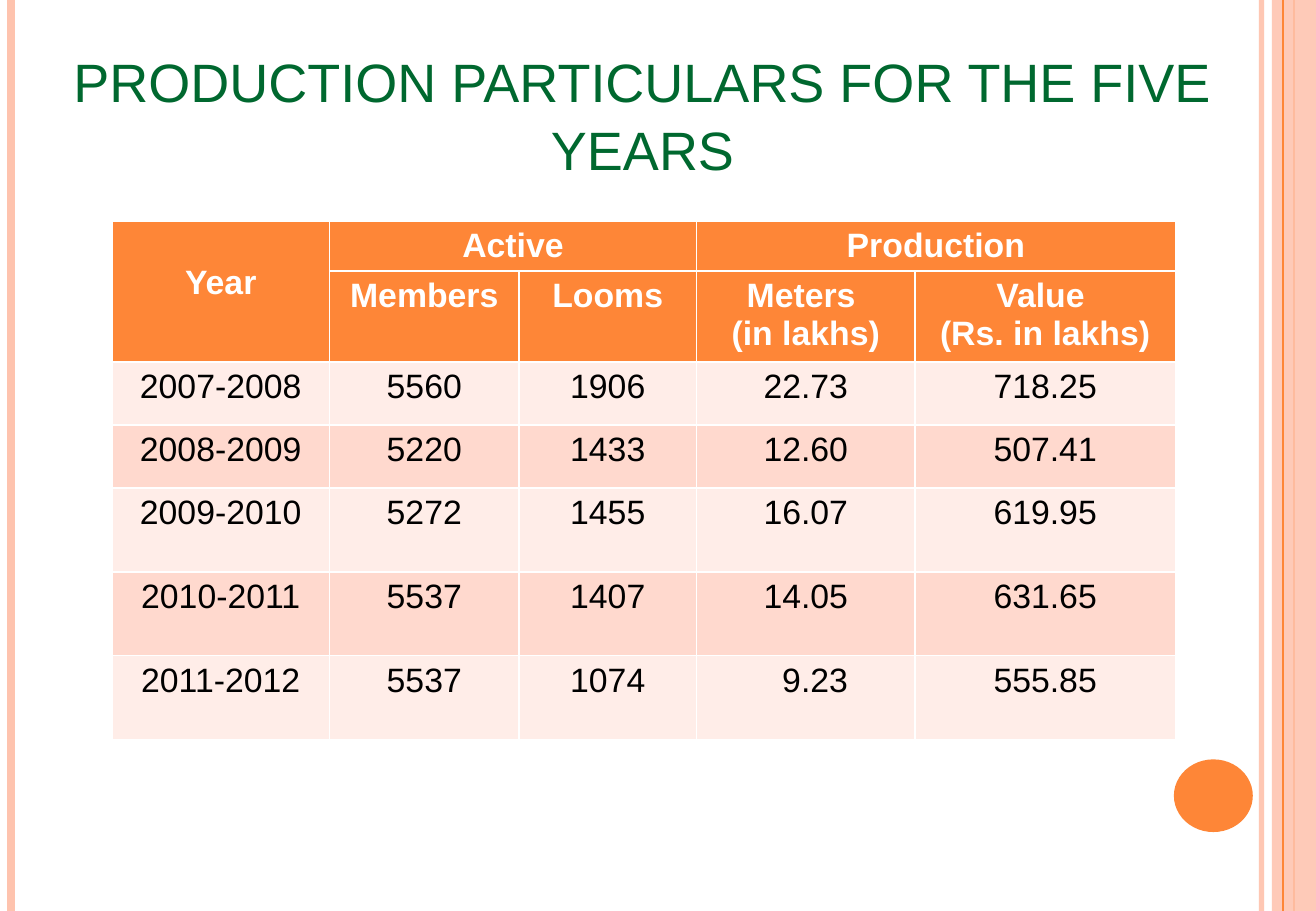
from dataclasses import dataclass

from lxml.etree import SubElement
from pptx import Presentation
from pptx.dml.color import RGBColor
from pptx.enum.shapes import MSO_CONNECTOR, MSO_SHAPE
from pptx.enum.text import MSO_ANCHOR, PP_ALIGN
from pptx.oxml.ns import qn
from pptx.slide import Slide
from pptx.table import Table, _Cell
from pptx.text.text import _Paragraph
from pptx.util import Cm, Pt

ORANGE = "FE8637"
PEACH = "FEC3AE"
WHITE = "FFFFFF"
BLACK = "000000"
GREEN = "00682F"
BANDS = ("FFEDE8", "FFD9CE")
PAGE_WIDTH = 27.51
PAGE_HEIGHT = 19.05
COLUMN_WIDTHS = (4.55, 3.96, 3.71, 4.57, 5.44)
ROW_HEIGHTS = (1.0, 1.9, 1.32, 1.32, 1.75, 1.75, 1.75)


@dataclass(frozen=True)
class Stripe:
    x: float
    color: str
    weight: float
    opacity: int = 100


@dataclass(frozen=True)
class Block:
    preset: MSO_SHAPE
    left: float
    top: float
    width: float
    height: float
    color: str
    opacity: int = 100


@dataclass(frozen=True)
class Heading:
    row: int
    column: int
    lines: tuple[str, ...]
    row_span: int = 1
    column_span: int = 1
    margin_top: float = 0.13


@dataclass(frozen=True)
class YearRecord:
    year: str
    members: str
    looms: str
    meters: str
    value: str


DECORATIONS = (
    Stripe(26.37, PEACH, 3, 93),
    Stripe(0.23, PEACH, 4.5),
    Stripe(27.05, ORANGE, 1.5),
    Block(MSO_SHAPE.RECTANGLE, 26.59, 0, 0.92, PAGE_HEIGHT, PEACH, 87),
    Stripe(26.82, ORANGE, 0.75),
    Block(MSO_SHAPE.OVAL, 24.54, 15.88, 1.65, 1.52, ORANGE),
)
HEADINGS = (
    Heading(0, 0, ("Year",), row_span=2, margin_top=0.89),
    Heading(0, 1, ("Active",), column_span=2),
    Heading(0, 3, ("Production",), column_span=2),
    Heading(1, 1, ("Members",)),
    Heading(1, 2, ("Looms",)),
    Heading(1, 3, ("Meters ", "(in lakhs)")),
    Heading(1, 4, ("Value ", "(Rs. in lakhs)")),
)
RECORDS = (
    YearRecord("2007-2008", "5560", "1906", "22.73", "718.25"),
    YearRecord("2008-2009", "5220", "1433", "12.60", "507.41"),
    YearRecord("2009-2010", "5272", "1455", "16.07", "619.95"),
    YearRecord("2010-2011", "5537", "1407", "14.05", "631.65"),
    YearRecord("2011-2012", "5537", "1074", "9.23", "555.85"),
)


def rgb(color: str) -> RGBColor:
    return RGBColor.from_string(color)


def set_opacity(properties, opacity: int) -> None:
    if opacity < 100:
        color = next(properties.iter(qn("a:srgbClr")))
        SubElement(color, qn("a:alpha"), val=str(opacity * 1000))


def draw_stripe(page: Slide, stripe: Stripe) -> None:
    line = page.shapes.add_connector(
        MSO_CONNECTOR.STRAIGHT, Cm(stripe.x), 0, Cm(stripe.x), Cm(PAGE_HEIGHT)
    )
    line.line.color.rgb = rgb(stripe.color)
    line.line.width = Pt(stripe.weight)
    properties = line._element.spPr
    set_opacity(properties, stripe.opacity)
    SubElement(properties, qn("a:effectLst"))


def draw_block(page: Slide, block: Block) -> None:
    shape = page.shapes.add_shape(
        block.preset, Cm(block.left), Cm(block.top), Cm(block.width), Cm(block.height)
    )
    shape.shadow.inherit = False
    shape.fill.solid()
    shape.fill.fore_color.rgb = rgb(block.color)
    shape.line.fill.background()
    set_opacity(shape._element.spPr, block.opacity)


def add_span(para: _Paragraph, text: str, size: float, color: str, bold: bool = False) -> None:
    para.alignment = PP_ALIGN.CENTER
    span = para.add_run()
    span.text = text
    span.font.name = "Arial"
    span.font.size = Pt(size)
    span.font.bold = bold
    span.font.color.rgb = rgb(color)


def draw_title(page: Slide) -> None:
    box = page.shapes.add_textbox(Cm(1.27), Cm(1.19), Cm(24.33), Cm(2.34))
    frame = box.text_frame
    frame.word_wrap = True
    frame.vertical_anchor = MSO_ANCHOR.MIDDLE
    para = frame.paragraphs[0]
    para.line_spacing = 1.05
    add_span(para, "PRODUCTION PARTICULARS FOR THE FIVE YEARS", 32, GREEN)


def style_cell(cell: _Cell, color: str) -> None:
    cell.margin_left = cell.margin_right = Cm(0.18)
    cell.margin_top = cell.margin_bottom = Cm(0.13)
    properties = cell._tc.get_or_add_tcPr()
    for side in ("a:lnL", "a:lnR", "a:lnT", "a:lnB"):
        border = SubElement(properties, qn(side), w=str(Pt(1)))
        fill = SubElement(border, qn("a:solidFill"))
        SubElement(fill, qn("a:srgbClr"), val=WHITE)
    cell.fill.solid()
    cell.fill.fore_color.rgb = rgb(color)


def write_heading(table: Table, heading: Heading) -> None:
    cell = table.cell(heading.row, heading.column)
    last_row = heading.row + heading.row_span - 1
    last_column = heading.column + heading.column_span - 1
    if heading.row_span > 1 or heading.column_span > 1:
        cell.merge(table.cell(last_row, last_column))
    cell.margin_top = Cm(heading.margin_top)
    for index, line in enumerate(heading.lines):
        para = cell.text_frame.add_paragraph() if index else cell.text_frame.paragraphs[0]
        add_span(para, line, 20, WHITE, bold=True)


def write_record(table: Table, row: int, record: YearRecord) -> None:
    values = (record.year, record.members, record.looms, record.meters, record.value)
    for column, value in enumerate(values):
        add_span(table.cell(row, column).text_frame.paragraphs[0], value, 20, BLACK)
    if len(record.meters) < 5:
        table.cell(row, 3).margin_left = Cm(0.57)


def draw_table(page: Slide) -> None:
    table = page.shapes.add_table(
        len(ROW_HEIGHTS), len(COLUMN_WIDTHS), Cm(2.34), Cm(4.62),
        Cm(sum(COLUMN_WIDTHS)), Cm(sum(ROW_HEIGHTS)),
    ).table
    table.horz_banding = False
    for column, width in zip(table.columns, COLUMN_WIDTHS):
        column.width = Cm(width)
    for index, (row, height) in enumerate(zip(table.rows, ROW_HEIGHTS)):
        row.height = Cm(height)
        for cell in row.cells:
            style_cell(cell, ORANGE if index < 2 else BANDS[index % 2])
    for heading in HEADINGS:
        write_heading(table, heading)
    for row, record in enumerate(RECORDS, start=2):
        write_record(table, row, record)


def main() -> None:
    deck = Presentation()
    deck.slide_width = Cm(PAGE_WIDTH)
    deck.slide_height = Cm(PAGE_HEIGHT)
    page = deck.slides.add_slide(deck.slide_layouts[6])
    for decoration in DECORATIONS:
        if isinstance(decoration, Stripe):
            draw_stripe(page, decoration)
        else:
            draw_block(page, decoration)
    draw_table(page)
    draw_title(page)
    deck.save("out.pptx")


if __name__ == "__main__":
    main()
